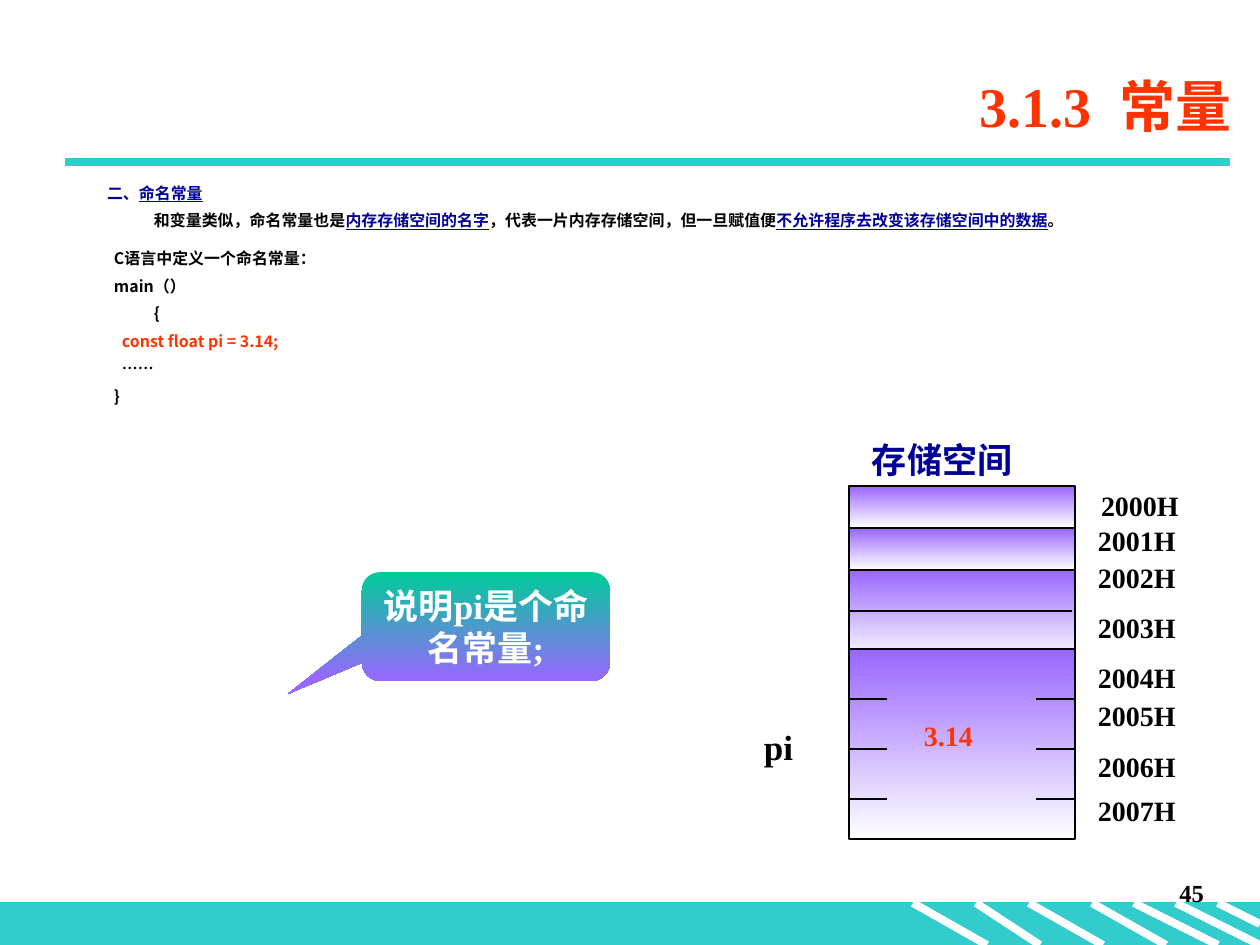
"""Build the slide on named constants, with its storage diagram and callout."""
from lxml.etree import SubElement
from pptx import Presentation
from pptx.dml.color import RGBColor
from pptx.enum.shapes import MSO_CONNECTOR, MSO_SHAPE
from pptx.enum.text import MSO_ANCHOR, MSO_AUTO_SIZE, PP_ALIGN
from pptx.oxml.ns import qn
from pptx.util import Emu, Pt

COLORS = {"teal": "33CCCC", "white": "FFFFFF", "black": "000000", "navy": "000099",
          "red": "FF3300", "violet": "9966FF", "green": "00CC99"}
SERIF, SANS = "Times New Roman", "Noto Sans CJK SC"

BODY = [
    (0, 0, [("二、", "navy", False), ("命名常量", "navy", True)]),
    (47, 7, [("和变量类似，命名常量也是", "black", False),
             ("内存存储空间的名字", "navy", True),
             ("，代表一片内存存储空间，但一旦赋值便", "black", False),
             ("不允许程序去改变该存储空间中的数据", "navy", True),
             ("。", "black", False)]),
    (7, 13, [("C语言中定义一个命名常量：", "black", False)]),
    (7, 7, [("main（）", "black", False)]),
    (47, 7, [("{", "black", False)]),
    (15, 7, [("const float pi = 3.14;", "red", False)]),
    (15, 7, [("……", "black", False)]),
    (7, 7, [("}", "black", False)]),
]
CELL_LEFT, CELL_WIDTH = 849, 226
CELLS = [(486, 42), (528, 42), (570, 91), (649, 190)]
ADDRESSES = [("2000H", 1101, 489), ("2001H", 1098, 524), ("2002H", 1098, 561),
             ("2003H", 1098, 611), ("2004H", 1098, 661), ("2005H", 1098, 699),
             ("2006H", 1098, 750), ("2007H", 1098, 794)]
TICK_ROWS, TICK_WIDTH = [699, 749, 799], 38
STRIPES = [(913, 987, 945), (976, 1040, 945), (1029, 1103, 945), (1092, 1166, 945),
           (1134, 1218, 945), (1176, 1260, 945), (1218, 1260, 924)]
FOOTER_TOP = 903


def px(*lengths):
    return [Emu(round(length * 914400 / 126)) for length in lengths]


def rgb(name):
    return RGBColor.from_string(COLORS[name])


def set_all(target, values):
    for name, value in values.items():
        setattr(target, name, value)


def add_run(paragraph, text, size, color, font_name=SERIF, underline=False):
    run = paragraph.add_run()
    run.text = text
    set_all(run.font, {"size": Pt(size), "bold": True, "name": font_name,
                       "underline": underline})
    run.font.color.rgb = rgb(color)
    SubElement(run.font._element, qn("a:ea")).set("typeface", SANS)


def set_frame(frame, anchor=MSO_ANCHOR.TOP, inset=(13, 6)):
    across, down = px(*inset)
    set_all(frame, {"word_wrap": True, "auto_size": MSO_AUTO_SIZE.NONE,
                    "vertical_anchor": anchor, "margin_left": across,
                    "margin_right": across, "margin_top": down, "margin_bottom": down})


def place(shape, box):
    set_all(shape, dict(zip(("left", "top", "width", "height"), px(*box))))


def add_label(slide, text, box, size, color="black", inset=(0, 0), align=PP_ALIGN.LEFT):
    frame = slide.shapes.add_textbox(*px(*box)).text_frame
    set_frame(frame, inset=inset)
    frame.paragraphs[0].alignment = align
    add_run(frame.paragraphs[0], text, size, color)


def add_line(slide, ends, color, width):
    line = slide.shapes.add_connector(MSO_CONNECTOR.STRAIGHT, *px(*ends))
    line.line.color.rgb = rgb(color)
    line.line.width = Pt(width)
    SubElement(line._element.spPr, qn("a:effectLst"))


def add_filled(slide, kind, box, colors, outline=None, width=1.25):
    shape = slide.shapes.add_shape(kind, *px(*box))
    shape.shadow.inherit = False
    if len(colors) == 1:
        shape.fill.solid()
        shape.fill.fore_color.rgb = rgb(colors[0])
    else:
        shape.fill.gradient()
        shape.fill.gradient_angle = 270
        for stop, color, position in zip(shape.fill.gradient_stops, colors, (0, 1)):
            stop.color.rgb = rgb(color)
            stop.position = position
    if outline:
        shape.line.color.rgb = rgb(outline)
        shape.line.width = Pt(width)
    else:
        shape.line.fill.background()
    return shape


def add_template_parts(slide):
    add_filled(slide, MSO_SHAPE.RECTANGLE, (0, FOOTER_TOP, 1260, 42), ["teal"], "teal", 0.75)
    for start, end, bottom in STRIPES:
        add_line(slide, (start, FOOTER_TOP, end, bottom), "white", 4.5)
    add_line(slide, (65, 162, 1230, 162), "teal", 4.5)
    add_label(slide, "45", (955, 872, 262, 63), 14, inset=(13, 6), align=PP_ALIGN.RIGHT)


def fill_placeholders(slide):
    title, body = slide.placeholders
    place(title, (174, 55, 1071, 100))
    set_frame(title.text_frame, MSO_ANCHOR.MIDDLE)
    heading = title.text_frame.paragraphs[0]
    heading.alignment = PP_ALIGN.RIGHT
    add_run(heading, "3.1.3  常量", 32, "red")

    place(body, (94, 181, 1072, 261))
    set_frame(body.text_frame)
    for index, (indent, space, runs) in enumerate(BODY):
        paragraph = body.text_frame.paragraphs[0] if index == 0 else body.text_frame.add_paragraph()
        properties = paragraph._element.get_or_add_pPr()
        properties.set("marL", str(px(indent)[0]))
        properties.set("indent", "0")
        SubElement(properties, qn("a:buNone"))
        set_all(paragraph, {"line_spacing": 0.8, "space_before": Pt(space),
                            "alignment": PP_ALIGN.JUSTIFY})
        for text, color, underline in runs:
            add_run(paragraph, text, 9.1, color, SANS, underline)


def add_storage(slide):
    for top, height in CELLS:
        add_filled(slide, MSO_SHAPE.RECTANGLE, (CELL_LEFT, top, CELL_WIDTH, height),
                   ["violet", "white"], "black")
    for text, left, top in ADDRESSES:
        add_label(slide, text, (left, top, 158, 34), 16)
    right = CELL_LEFT + CELL_WIDTH
    add_line(slide, (CELL_LEFT, 611, right - 3, 611), "black", 0.75)
    for row in TICK_ROWS:
        for start in (CELL_LEFT, right - TICK_WIDTH - 1):
            add_line(slide, (start, row, start + TICK_WIDTH, row), "black", 0.75)
    add_label(slide, "3.14", (924, 719, 60, 34), 16, "red")
    add_label(slide, "存储空间", (859, 432, 309, 55), 20, "navy", (13, 6))
    add_label(slide, "pi", (764, 725, 40, 42), 20)


def add_callout(slide):
    callout = add_filled(slide, MSO_SHAPE.ROUNDED_RECTANGULAR_CALLOUT, (362, 572, 248, 109),
                         ["green", "violet"])
    for index, value in enumerate((-0.8, 0.62, 0.17)):
        callout.adjustments[index] = value
    set_frame(callout.text_frame, MSO_ANCHOR.MIDDLE)
    paragraph = callout.text_frame.paragraphs[0]
    paragraph.alignment = PP_ALIGN.CENTER
    add_run(paragraph, "说明pi是个命名常量;", 20, "white")


def main():
    presentation = Presentation()
    presentation.slide_width, presentation.slide_height = px(1260, 945)
    slide = presentation.slides.add_slide(presentation.slide_layouts[1])
    add_template_parts(slide)
    fill_placeholders(slide)
    add_storage(slide)
    add_callout(slide)
    presentation.save("out.pptx")


if __name__ == "__main__":
    main()
